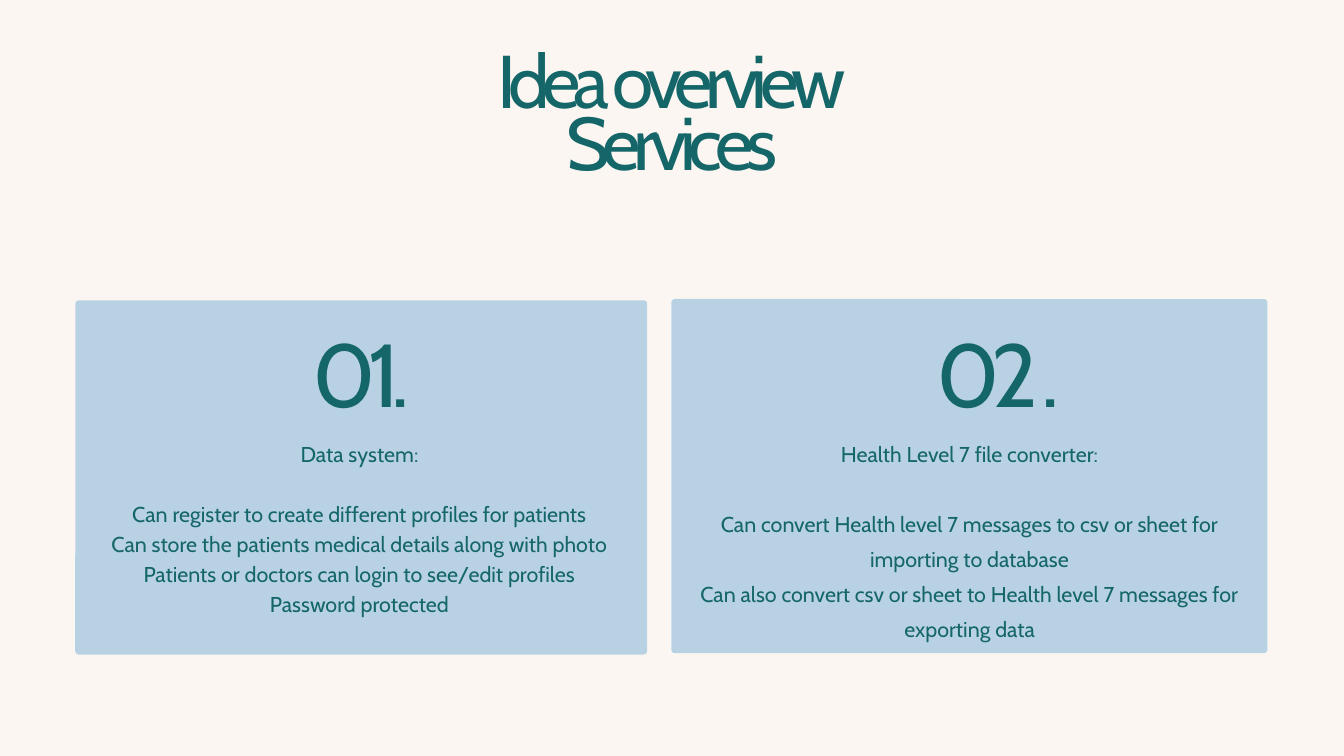
import pptx
import pptx.dml.color
import pptx.enum.shapes
import pptx.enum.text
import pptx.util

Inches = pptx.util.Inches
Pt = pptx.util.Pt

CREAM = pptx.dml.color.RGBColor(0xFB, 0xF6, 0xF1)
BLUE = pptx.dml.color.RGBColor(0xB8, 0xD2, 0xE4)
TEAL = pptx.dml.color.RGBColor(0x15, 0x66, 0x69)
FONT = "Cabin"


def write_lines(shape, lines, size, line_height, tracking=0):
    """Fill a shape with centred lines, leaving a gap of one line after the first."""
    frame = shape.text_frame
    frame.word_wrap = True
    frame.auto_size = pptx.enum.text.MSO_AUTO_SIZE.NONE
    frame.vertical_anchor = pptx.enum.text.MSO_ANCHOR.TOP
    frame.margin_left = frame.margin_right = 0
    frame.margin_top = frame.margin_bottom = 0
    for index, line in enumerate(lines):
        paragraph = frame.paragraphs[0] if index == 0 else frame.add_paragraph()
        paragraph.alignment = pptx.enum.text.PP_ALIGN.CENTER
        paragraph.line_spacing = Pt(line_height)
        paragraph.space_before = Pt(line_height if index == 1 else 0)
        run = paragraph.add_run()
        run.text = line
        run.font.name = FONT
        run.font.size = Pt(size)
        run.font.color.rgb = TEAL
        if tracking:
            run._r.get_or_add_rPr().set("spc", str(round(tracking * 100)))


presentation = pptx.Presentation()
presentation.slide_width = Inches(20)
presentation.slide_height = Inches(11.25)
slide = presentation.slides.add_slide(presentation.slide_layouts[5])
slide.background.fill.solid()
slide.background.fill.fore_color.rgb = CREAM

# Title and subtitle
title = slide.shapes.title
title.left, title.top = Inches(5.83), Inches(0.28)
title.width, title.height = Inches(8.33), Inches(1.44)
write_lines(title, ["Idea overview"], 80, 112, -7.7)

subtitle = slide.shapes.add_textbox(Inches(4.18), Inches(1.69), Inches(11.63), Inches(1.14))
write_lines(subtitle, ["Services"], 80, 76.8, -7.7)

# Service cards: card box, number and its left edge, text box, line height, lines
cards = [
    ((1.12, 4.47, 8.51, 5.27), "01.", 4.42, (1.29, 6.5, 8.12, 2.7), 32.2, [
        "Data system:",
        "Can register to create different profiles for patients",
        "Can store the patients medical details along with photo",
        "Patients or doctors can login to see/edit profiles",
        "Password protected",
    ]),
    ((9.99, 4.45, 8.87, 5.27), "02 .", 13.9, (10.28, 6.42, 8.3, 3.55), 37.5, [
        "Health Level 7 file converter:",
        "Can convert Health level 7 messages to csv or sheet for importing to database",
        "Can also convert csv or sheet to Health level 7 messages for exporting data",
    ]),
]
for card_box, number, number_left, text_box, line_height, lines in cards:
    card = slide.shapes.add_shape(
        pptx.enum.shapes.MSO_SHAPE.ROUNDED_RECTANGLE, *map(Inches, card_box))
    card.adjustments[0] = 0.01
    card.shadow.inherit = False
    card.fill.solid()
    card.fill.fore_color.rgb = BLUE
    card.line.fill.background()

    number_label = slide.shapes.add_textbox(
        Inches(number_left), Inches(5.06), Inches(1.91), Inches(1.3))
    write_lines(number_label, [number], 95.6, 91.7, -9.2)

    description = slide.shapes.add_textbox(*map(Inches, text_box))
    write_lines(description, lines, 23, line_height)

presentation.save("out.pptx")
